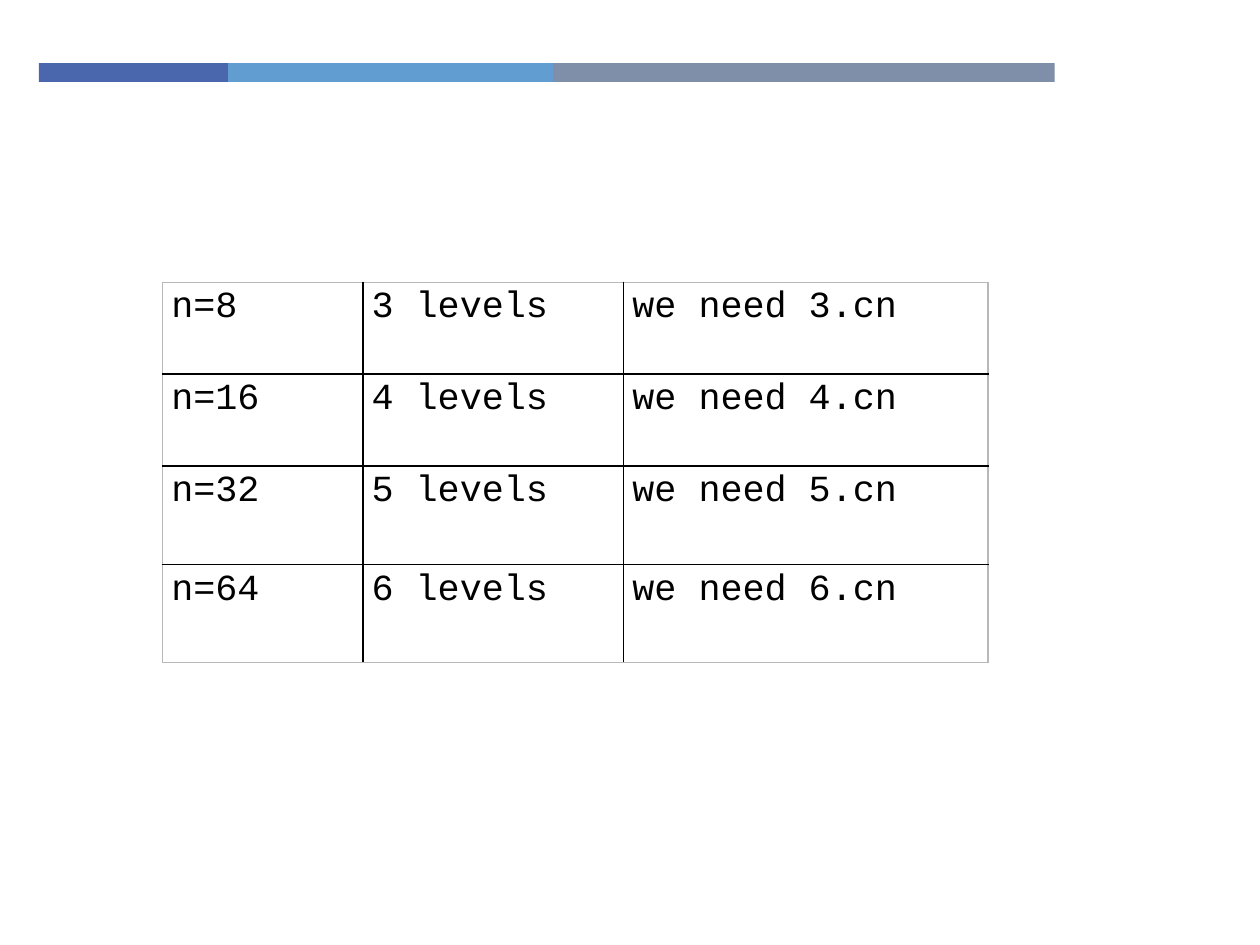
import pptx
import pptx.dml.color
import pptx.enum.shapes
import pptx.oxml
import pptx.oxml.ns
import pptx.util

Inches = pptx.util.Inches
RGBColor = pptx.dml.color.RGBColor

BLACK = RGBColor(0x00, 0x00, 0x00)
WHITE = RGBColor(0xFF, 0xFF, 0xFF)
GREY = RGBColor(0xB8, 0xB8, 0xB8)
INDIGO = RGBColor(0x4A, 0x66, 0xAC)
SKY = RGBColor(0x62, 0x9D, 0xD1)
SLATE = RGBColor(0x7F, 0x8F, 0xA9)

# Content
BAND = [(1.5, INDIGO), (2.58, SKY), (3.98, SLATE)]
LEVELS = [
    ("n=8", "3 levels", "we need 3.cn"),
    ("n=16", "4 levels", "we need 4.cn"),
    ("n=32", "5 levels", "we need 5.cn"),
    ("n=64", "6 levels", "we need 6.cn"),
]
COLUMN_WIDTHS = [1.59, 2.07, 2.89]
ROW_HEIGHTS = [0.73, 0.73, 0.78, 0.78]


def set_borders(cell, colors):
    """Draw 1 pt borders; colors are for left, right, top, bottom."""
    properties = cell._tc.get_or_add_tcPr()
    for position, (side, color) in enumerate(zip("LRTB", colors)):
        line = pptx.oxml.parse_xml(
            f'<a:ln{side} {pptx.oxml.ns.nsdecls("a")} w="12700"><a:solidFill>'
            f'<a:srgbClr val="{color}"/></a:solidFill></a:ln{side}>')
        properties.insert(position, line)


def add_band(page):
    left = 0.31
    for width, color in BAND:
        bar = page.shapes.add_shape(
            pptx.enum.shapes.MSO_SHAPE.RECTANGLE,
            Inches(left), Inches(0.5), Inches(width), Inches(0.15))
        bar.shadow.inherit = False
        bar.fill.solid()
        bar.fill.fore_color.rgb = color
        bar.line.fill.background()
        left += width


def fill_cell(cell, text):
    cell.fill.solid()
    cell.fill.fore_color.rgb = WHITE
    cell.margin_left = cell.margin_right = Inches(0.07)
    cell.margin_top = cell.margin_bottom = Inches(0.04)
    span = cell.text_frame.paragraphs[0].add_run()
    span.text = text
    span.font.name = "Courier New"
    span.font.size = pptx.util.Pt(21)
    span.font.color.rgb = BLACK


def add_levels_table(page):
    rows, columns = len(ROW_HEIGHTS), len(COLUMN_WIDTHS)
    table = page.shapes.add_table(
        rows, columns, Inches(1.29), Inches(2.24),
        Inches(sum(COLUMN_WIDTHS)), Inches(sum(ROW_HEIGHTS))).table
    table.first_row = table.horz_banding = False
    for column, width in zip(table.columns, COLUMN_WIDTHS):
        column.width = Inches(width)
    for row, height in zip(table.rows, ROW_HEIGHTS):
        row.height = Inches(height)
    for r, texts in enumerate(LEVELS):
        for c, text in enumerate(texts):
            cell = table.cell(r, c)
            fill_cell(cell, text)
            # Grey frame outside, black rules inside
            outer = (c == 0, c == columns - 1, r == 0, r == rows - 1)
            set_borders(cell, [GREY if edge else BLACK for edge in outer])


def main():
    deck = pptx.Presentation()
    deck.slide_width, deck.slide_height = Inches(10), Inches(7.5)
    page = deck.slides.add_slide(deck.slide_layouts[6])
    add_band(page)
    add_levels_table(page)
    deck.save("out.pptx")


if __name__ == "__main__":
    main()
